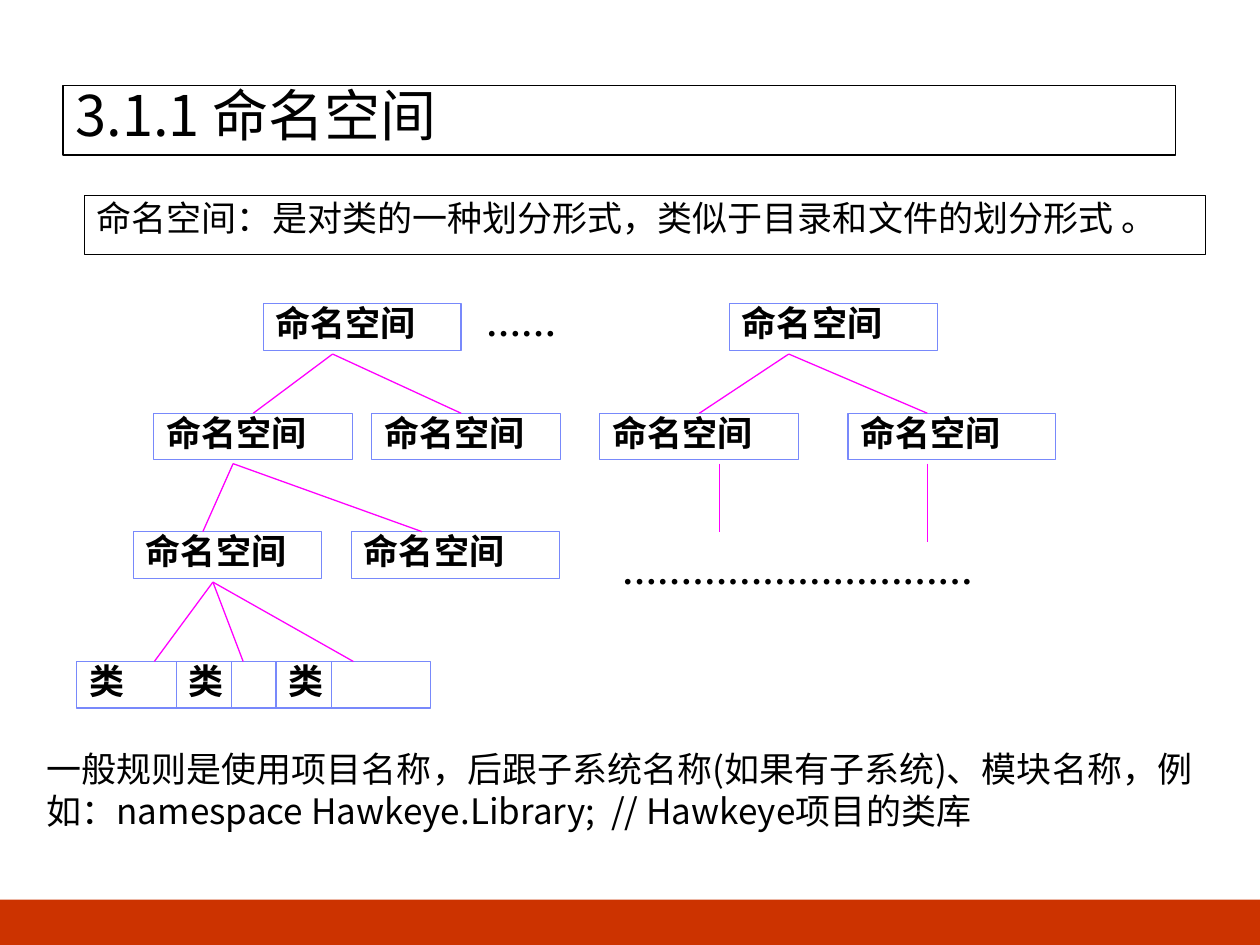
from lxml.etree import SubElement
from pptx import Presentation
from pptx.dml.color import RGBColor
from pptx.enum.shapes import MSO_CONNECTOR, MSO_SHAPE
from pptx.enum.text import MSO_ANCHOR, MSO_AUTO_SIZE, PP_ALIGN
from pptx.oxml.ns import qn
from pptx.util import Inches, Pt

BLACK = RGBColor(0x00, 0x00, 0x00)
WHITE = RGBColor(0xFF, 0xFF, 0xFF)
BOX_BLUE = RGBColor(0x78, 0x89, 0xFB)
LINK_PINK = RGBColor(0xFF, 0x00, 0xFF)
BAR_RED = RGBColor(0xCC, 0x33, 0x00)

SANS, SERIF = "Noto Sans CJK SC", "Times New Roman"
NAMESPACE, CLASS = "命名空间", "类"

# Tree grid: top of each level, common box height, gap below a box
LEVELS = [2.41, 3.28, 4.22, 5.25]
BOX_HEIGHT = 0.37
LINK_GAP = 0.03
CLASS_LEFT, CLASS_STEP, CLASS_WIDTH = 0.61, 0.79, 1.23
TOP_SIDE = 0


def place(shape, left, top, width, height):
    shape.left, shape.top = Inches(left), Inches(top)
    shape.width, shape.height = Inches(width), Inches(height)


def outline(shape, color):
    shape.line.color.rgb = color
    shape.line.width = Pt(0.75)


def write(shape, text, size=20, font=SANS, bold=False, spacing=1.0,
          anchor=MSO_ANCHOR.TOP):
    frame = shape.text_frame
    frame.text = text
    frame.word_wrap = True
    frame.auto_size = MSO_AUTO_SIZE.NONE
    frame.vertical_anchor = anchor
    paragraph = frame.paragraphs[0]
    paragraph.alignment = PP_ALIGN.LEFT
    paragraph.line_spacing = spacing
    paragraph.font.size = Pt(size)
    paragraph.font.bold = bold
    paragraph.font.color.rgb = BLACK
    paragraph.font.name = font
    # East Asian characters take their own typeface entry
    properties = paragraph._p.pPr.find(qn("a:defRPr"))
    SubElement(properties, qn("a:ea")).set("typeface", font)
    return paragraph


def add_label(slide, text, left, top, width, height, **style):
    label = slide.shapes.add_textbox(
        Inches(left), Inches(top), Inches(width), Inches(height))
    write(label, text, **style)
    return label


def add_dots(slide, text, left, top, width):
    dots = add_label(slide, text, left, top, width, BOX_HEIGHT,
                     font=SERIF, bold=True, spacing=0.8)
    dots.text_frame.paragraphs[0].space_before = Pt(5)


def add_bar(slide):
    bar = slide.shapes.add_shape(
        MSO_SHAPE.RECTANGLE, 0, Inches(7.14), Inches(10), Inches(0.36))
    bar.shadow.inherit = False
    bar.fill.solid()
    bar.fill.fore_color.rgb = BAR_RED
    bar.line.fill.background()


def add_node(slide, text, level, left, width):
    node = slide.shapes.add_shape(
        MSO_SHAPE.RECTANGLE, Inches(left), Inches(LEVELS[level]),
        Inches(width), Inches(BOX_HEIGHT))
    node.shadow.inherit = False
    node.fill.background()
    outline(node, BOX_BLUE)
    write(node, text, bold=True, spacing=0.8).space_before = Pt(5)
    return node


def add_link(slide, level, start_x, end_x, end_y=None, child=None):
    """Draw a branch from below a level, joined to child where one is given."""
    start_y = LEVELS[level] + BOX_HEIGHT + LINK_GAP
    end_y = end_y or LEVELS[level + 1]
    link = slide.shapes.add_connector(
        MSO_CONNECTOR.STRAIGHT, Inches(start_x), Inches(start_y),
        Inches(end_x), Inches(end_y))
    outline(link, LINK_PINK)
    SubElement(link._element.spPr, qn("a:effectLst"))
    if child is not None:
        link.end_connect(child, TOP_SIDE)


def add_tree(slide):
    # Namespaces: level, left, width
    places = [(0, 2.09, 1.57), (0, 5.79, 1.65),
              (1, 1.22, 1.58), (1, 2.95, 1.5), (1, 4.76, 1.58), (1, 6.73, 1.65),
              (2, 1.06, 1.49), (2, 2.79, 1.65)]
    nodes = [add_node(slide, NAMESPACE, *spot) for spot in places]
    classes = [add_node(slide, CLASS, 3, CLASS_LEFT + i * CLASS_STEP, CLASS_WIDTH)
               for i in range(3)]

    # Branches: level, start x, then (end x, joined child) pairs
    branches = [
        (0, 2.64, [(2.01, nodes[2]), (3.66, None)]),
        (0, 6.26, [(5.55, nodes[4]), (7.36, None)]),
        (1, 1.85, [(1.61, None), (3.35, None)]),
        (2, 1.69, [(1.22, classes[0]), (1.93, None), (2.79, classes[2])]),
    ]
    for level, start_x, ends in branches:
        for end_x, child in ends:
            add_link(slide, level, start_x, end_x, child=child)

    # Open branches and the dots that continue the tree
    for x, end_y in [(5.71, 4.22), (7.36, 4.3)]:
        add_link(slide, 1, x, x, end_y)
    add_dots(slide, "……", 3.76, LEVELS[0], 1.51)
    add_dots(slide, "…………………………", 4.84, 4.38, 3.54)


def main():
    deck = Presentation()
    deck.slide_width, deck.slide_height = Inches(10), Inches(7.5)
    slide = deck.slides.add_slide(deck.slide_layouts[5])
    add_bar(slide)

    # Heading
    title = slide.shapes.title
    place(title, 0.5, 0.68, 8.83, 0.55)
    outline(title, BLACK)
    write(title, "3.1.1 命名空间", size=32, spacing=0.9, anchor=MSO_ANCHOR.BOTTOM)

    # Definition
    definition = add_label(
        slide, "命名空间：是对类的一种划分形式，类似于目录和文件的划分形式 。",
        0.67, 1.55, 8.9, 0.47, spacing=0.9)
    definition.fill.solid()
    definition.fill.fore_color.rgb = WHITE
    outline(definition, BLACK)

    add_tree(slide)

    # Naming rule
    add_label(slide, "一般规则是使用项目名称，后跟子系统名称(如果有子系统)、模块名称，"
                     "例如：namespace Hawkeye.Library;  // Hawkeye项目的类库",
              0.27, 5.88, 9.45, 0.77)
    deck.save("out.pptx")


if __name__ == "__main__":
    main()
